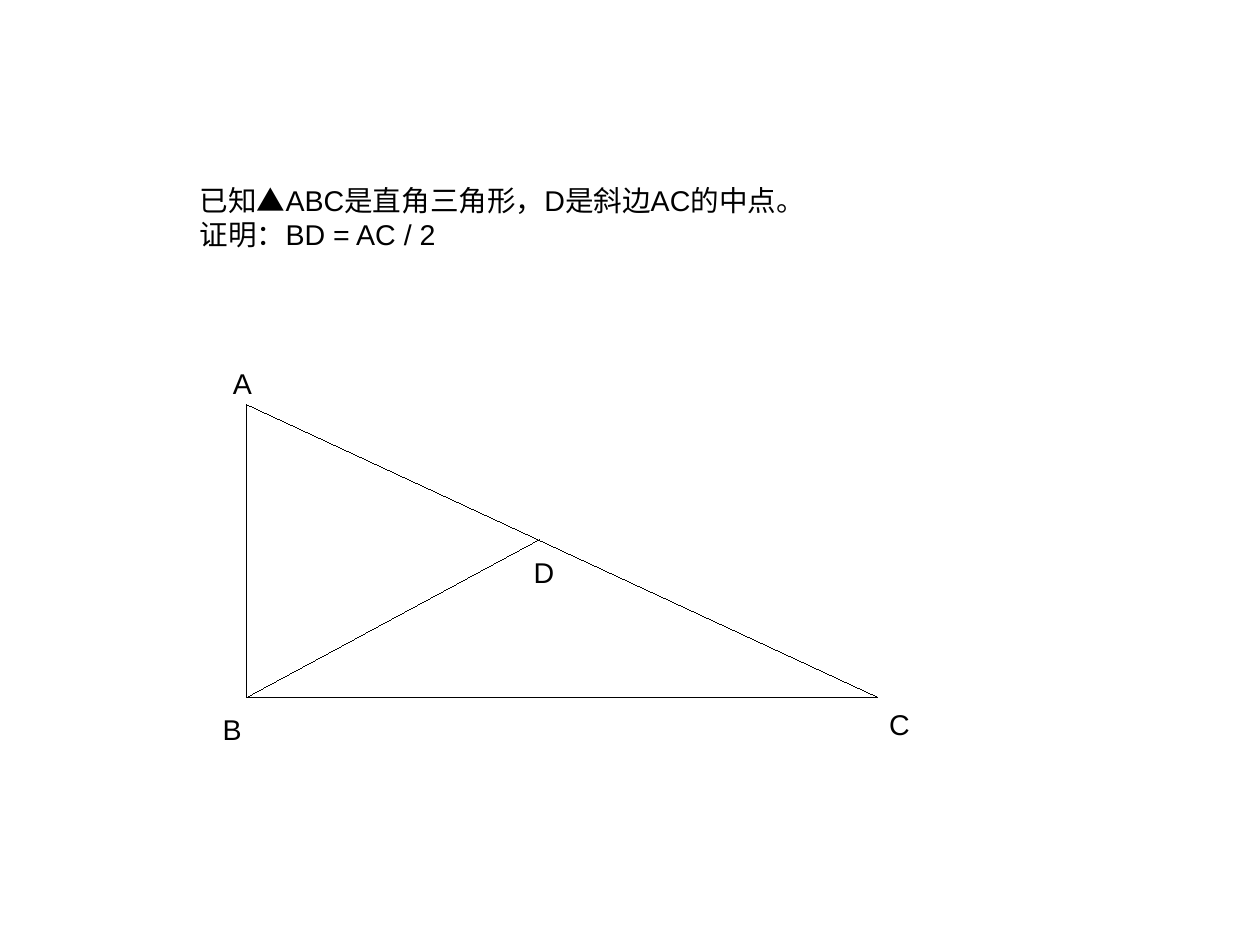
import pptx
import pptx.dml.color
import pptx.enum.shapes
import pptx.enum.text
import pptx.oxml.ns
import pptx.util
import lxml.etree

Inches = pptx.util.Inches

COLORS = {"ink": "000000"}
SLIDE_SIZE_CM = (28, 21)
CM_PER_INCH = 2.54
STATEMENT = ["已知▲ABC是直角三角形，D是斜边AC的中点。", "证明：BD = AC / 2"]
STATEMENT_BOX = (1.65, 1.55, 5.85, 0.7)
POINTS = {"A": (2.16, 3.54), "B": (2.16, 6.1), "C": (7.68, 6.1), "D": (4.72, 4.72)}
SEGMENTS = ["CB", "AB", "AC", "BD"]
LABEL_BOXES = {
    "A": (1.94, 3.15, 0.36, 0.4),
    "B": (1.85, 6.18, 0.36, 0.4),
    "C": (7.68, 6.14, 0.38, 0.4),
    "D": (4.57, 4.81, 0.38, 0.4),
}


def rgb(name):
    return pptx.dml.color.RGBColor.from_string(COLORS[name])


def add_text(slide, lines, box, size=18, font="Arial", color="ink"):
    shape = slide.shapes.add_textbox(*map(Inches, box))
    frame = shape.text_frame
    frame.word_wrap = False
    frame.auto_size = pptx.enum.text.MSO_AUTO_SIZE.SHAPE_TO_FIT_TEXT
    frame.text = "\n".join(lines)
    for paragraph in frame.paragraphs:
        for run in paragraph.runs:
            run.font.size = pptx.util.Pt(size)
            run.font.name = font
            run.font.color.rgb = rgb(color)


def add_hairline(slide, start, end):
    connector = slide.shapes.add_connector(
        pptx.enum.shapes.MSO_CONNECTOR.STRAIGHT, *map(Inches, start + end)
    )
    connector.line.color.rgb = rgb("ink")
    properties = connector._element.spPr
    properties.find(pptx.oxml.ns.qn("a:ln")).set("w", "0")
    lxml.etree.SubElement(properties, pptx.oxml.ns.qn("a:effectLst"))


def main():
    presentation = pptx.Presentation()
    width, height = (Inches(side / CM_PER_INCH) for side in SLIDE_SIZE_CM)
    presentation.slide_width = width
    presentation.slide_height = height
    slide = presentation.slides.add_slide(presentation.slide_layouts[6])
    for start, end in SEGMENTS:
        add_hairline(slide, POINTS[start], POINTS[end])
    add_text(slide, STATEMENT, STATEMENT_BOX)
    for label, box in LABEL_BOXES.items():
        add_text(slide, [label], box)
    presentation.save("out.pptx")


if __name__ == "__main__":
    main()
